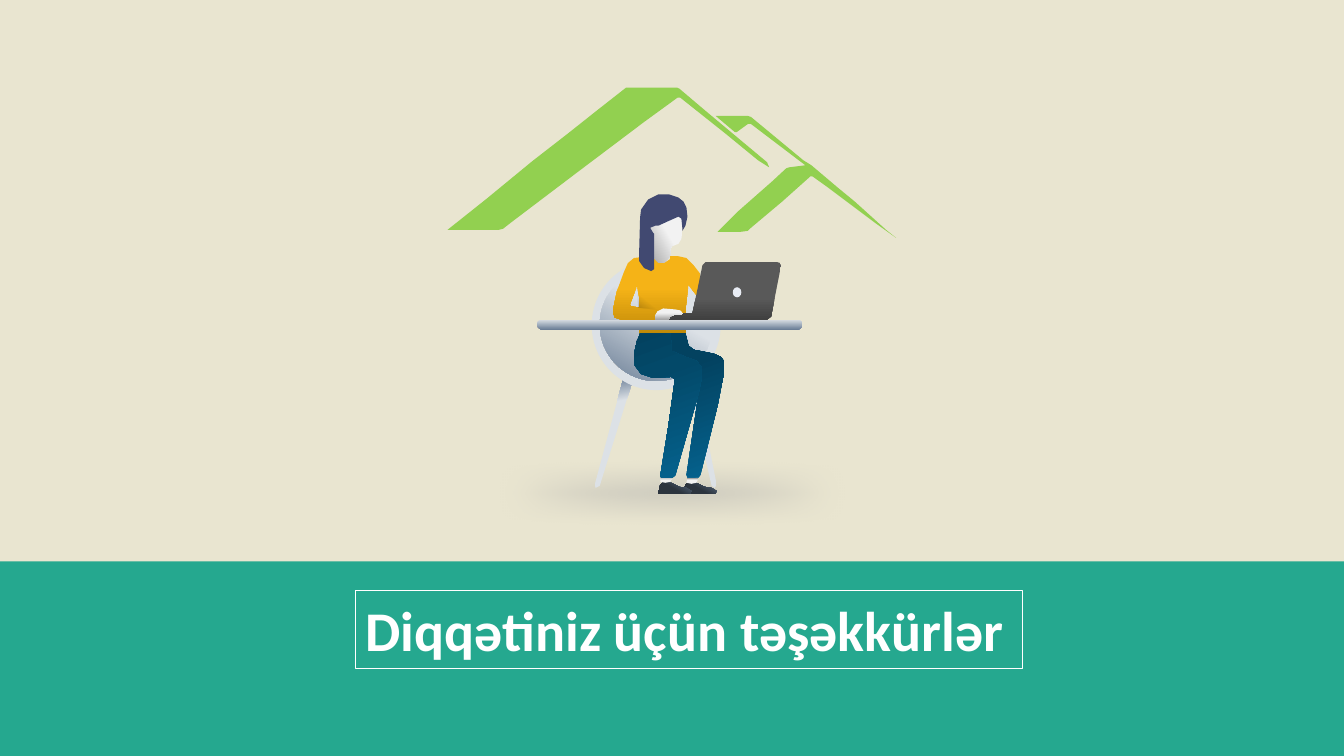
from lxml.etree import SubElement
from pptx import Presentation
from pptx.dml.color import RGBColor
from pptx.enum.shapes import MSO_SHAPE
from pptx.oxml.ns import qn
from pptx.util import Pt

SAND = RGBColor(0xE9, 0xE5, 0xD0)
TEAL = RGBColor(0x25, 0xA8, 0x8F)
WHITE = RGBColor(0xFF, 0xFF, 0xFF)
BLACK = RGBColor(0x00, 0x00, 0x00)
GREY = RGBColor(0xA6, 0xA6, 0xA6)
PALE = RGBColor(0xF2, 0xF2, 0xF2)
SILVER = RGBColor(0xDC, 0xE1, 0xE6)
STEEL = RGBColor(0x6A, 0x7E, 0x96)
YELLOW = RGBColor(0xF5, 0xB3, 0x17)
OCHRE = RGBColor(0xC1, 0x8A, 0x08)
CHARCOAL = RGBColor(0x59, 0x59, 0x59)
DARK_GREY = RGBColor(0x40, 0x40, 0x40)
SLATE = RGBColor(0x57, 0x68, 0x7C)
INK = RGBColor(0x2C, 0x34, 0x3E)
BADGE = RGBColor(0xE8, 0xEC, 0xF4)
BLUE = RGBColor(0x05, 0x63, 0x8F)
NAVY = RGBColor(0x03, 0x42, 0x60)
MID_NAVY = RGBColor(0x03, 0x49, 0x69)
INDIGO = RGBColor(0x41, 0x49, 0x71)
GREEN = RGBColor(0x92, 0xD0, 0x50)

GRID = Pt(0.72)  # one unit of the outlines below; a bar starts a new contour

CHAIR_LEG_RIGHT = "709,484 711,481 690,375 686,374 682,377 706,482"
CHAIR_LEG_LEFT = "591,484 590,481 618,377 623,377 627,380 595,482"
FACE = """677,229 677,216 674,214 649,223 645,226 648,231 649,255 649,258 653,262 659,261
    665,254 665,247 667,244 673,242 676,237"""
SHIRT = """695,272 688,263 681,256 672,254 665,254 665,257 659,261 653,261 649,257 646,254
    629,256 623,261 619,270 612,289 608,309 610,315 616,317 635,317 635,331 680,331
    680,308 683,283 691,293 694,281 | 634,305 626,304 625,302 632,284 634,294"""
LAPTOP = """771,260 700,260 697,263 687,311 672,311 667,312 663,315 662,317 761,317 765,314
    775,263 774,261"""
SHOE = "711,487 706,484 699,483 693,480 691,479 682,479 680,481 678,490 710,490"
HAND = """650,317 650,314 652,309 658,306 670,307 675,308 678,311 676,312 670,312 665,314
    663,317"""
ANKLE = "693,474 691,479 686,480 681,479 682,474"
LEGS = """708,351 688,347 683,343 680,331 636,331 632,338 629,351 630,362 636,370 648,374
    666,373 669,375 669,380 663,423 655,472 656,474 667,474 670,471 685,418 693,390
    691,404 681,471 682,474 693,474 695,471 712,402 718,371 718,358 715,354"""
FRONT_LEG = """696,364 691,358 680,354 666,348 666,340 665,331 635,331 632,339 629,352 630,363
    636,371 648,375 666,374 669,376 669,381 663,424 655,472 656,474 667,474 670,472
    685,419 693,391 696,376"""
HAIR = """681,206 678,200 673,196 664,193 653,193 643,198 636,208 635,216 634,252 634,259
    639,266 646,269 649,267 649,232 648,231 645,226 650,224 653,224 664,219 673,215
    676,217 677,227 677,229 680,224 682,215"""
SLEEVE_FOLD = "634,305 633,291 653,307"
MAIN_ROOF = """444,228 483,197 528,160 564,132 593,109 621,87 672,87 674,88 700,110 761,161
    763,166 752,159 719,132 675,97 672,97 639,121 574,170 508,220 499,227 495,228"""
SIDE_ROOF = """889,236 868,221 820,185 806,175 804,175 776,200 745,226 742,229 735,230 712,230
    733,209 766,180 780,167 783,166 799,164 745,123 742,123 731,131 729,131 710,115
    742,115 745,116 797,159 805,164 831,186 848,200 879,228"""


class Scene:
    def __init__(self, page):
        self.page = page
        self.font = {"name": "Calibri", "size": Pt(40), "bold": True}
        self.frame = {"word_wrap": True, "margin_left": Pt(7.2), "margin_right": Pt(7.2),
                      "margin_top": Pt(3.6), "margin_bottom": Pt(3.6)}

    def paint(self, shape, paint):
        """Fill with a colour, or with (angle, (position, colour[, opacity]), ...)."""
        shape.shadow.inherit = False
        shape.line.fill.background()
        if isinstance(paint, RGBColor):
            shape.fill.solid()
            shape.fill.fore_color.rgb = paint
            return shape
        angle, *stops = paint
        shape.fill.gradient()
        shape.fill.gradient_angle = 360 - angle
        stop_list = next(shape._element.iter(qn("a:gsLst")))
        for stop in list(stop_list):
            stop_list.remove(stop)
        for position, colour, *opacity in stops:
            stop = SubElement(stop_list, qn("a:gs"), pos=str(position * 1000))
            tint = SubElement(stop, qn("a:srgbClr"), val=str(colour))
            for percent in opacity:
                SubElement(tint, qn("a:alpha"), val=str(percent * 1000))
        return shape

    def preset(self, kind, box, paint):
        shape = self.page.shapes.add_shape(kind, *(Pt(length) for length in box))
        return self.paint(shape, paint)

    def outline(self, path, paint, shift=(0, 0)):
        contours = [[tuple((int(number) + offset) * GRID
                           for number, offset in zip(point.split(","), shift))
                     for point in contour.split()] for contour in path.split("|")]
        builder = self.page.shapes.build_freeform(*contours[0][0])
        for number, contour in enumerate(contours):
            if number:
                builder.move_to(*contour[0])
            builder.add_line_segments(contour[1:], close=True)
        return self.paint(builder.convert_to_shape(), paint)

    def soften(self, shape, radius):
        effects = shape._element.spPr.find(qn("a:effectLst"))
        SubElement(effects, qn("a:softEdge"), rad=str(Pt(radius)))

    def framed_text(self, text, box, colour):
        shape = self.page.shapes.add_textbox(*(Pt(length) for length in box))
        shape.line.color.rgb = colour
        shape.line.width = Pt(0.75)
        for name, value in self.frame.items():
            setattr(shape.text_frame, name, value)
        span = shape.text_frame.paragraphs[0].add_run()
        span.text = text
        for name, value in self.font.items():
            setattr(span.font, name, value)
        span.font.color.rgb = colour


def main():
    deck = Presentation()
    deck.slide_width, deck.slide_height = Pt(960), Pt(540)
    page = deck.slides.add_slide(deck.slide_layouts[6])
    page.background.fill.solid()
    page.background.fill.fore_color.rgb = SAND
    scene = Scene(page)
    scene.preset(MSO_SHAPE.RECTANGLE, (0, 401, 960, 139), TEAL)
    floor_shadow = scene.preset(MSO_SHAPE.OVAL, (246.24, 328.32, 467.28, 46.8), GREY)
    scene.soften(floor_shadow, 20)

    for leg in (CHAIR_LEG_RIGHT, CHAIR_LEG_LEFT):
        scene.outline(leg, (260, (0, SILVER), (78, SILVER), (100, STEEL)))
    scene.preset(MSO_SHAPE.OVAL, (422.64, 185.76, 92.16, 92.88), SILVER)
    scene.outline(FACE, (150, (0, PALE), (41, PALE), (100, GREY)))
    scene.preset(MSO_SHAPE.OVAL, (428.4, 191.52, 80.64, 80.64),
                 (120, (0, SILVER), (41, SILVER), (100, STEEL)))
    scene.outline(SHIRT, (90, (0, YELLOW), (41, YELLOW), (100, OCHRE)))
    scene.outline(LAPTOP, (90, (0, CHARCOAL), (63, CHARCOAL), (100, DARK_GREY)))
    for shift in ((0, 0), (-25, 0)):
        scene.outline(SHOE, (120, (0, SLATE), (55, INK), (100, INK)), shift)
    scene.outline(HAND, (90, (0, PALE), (41, PALE), (100, GREY)))
    scene.preset(MSO_SHAPE.OVAL, (523.44, 205.2, 6.12, 7.2), BADGE)
    for shift, middle in (((-26, -1), 40), ((0, 0), 59)):
        scene.outline(ANKLE, (270, (0, PALE), (middle, PALE), (100, GREY)), shift)
    scene.outline(LEGS, (250, (0, BLUE), (72, NAVY), (100, NAVY)))
    table_top = scene.preset(MSO_SHAPE.ROUNDED_RECTANGLE, (383.76, 228.24, 189.36, 7.2),
                             (90, (0, SILVER), (100, STEEL)))
    table_top.adjustments[0] = 0.5
    scene.outline(HAIR, INDIGO)
    scene.outline(FRONT_LEG, (250, (0, BLUE), (72, MID_NAVY), (100, NAVY)))
    scene.outline(SLEEVE_FOLD, (130, (0, BLACK, 0), (51, BLACK, 0), (100, BLACK, 20)))
    for roof in (MAIN_ROOF, SIDE_ROOF):
        scene.outline(roof, GREEN)
    scene.framed_text("Diqqətiniz üçün təşəkkürlər", (254.16, 421.92, 475.92, 55.44), WHITE)
    deck.save("out.pptx")


if __name__ == "__main__":
    main()
